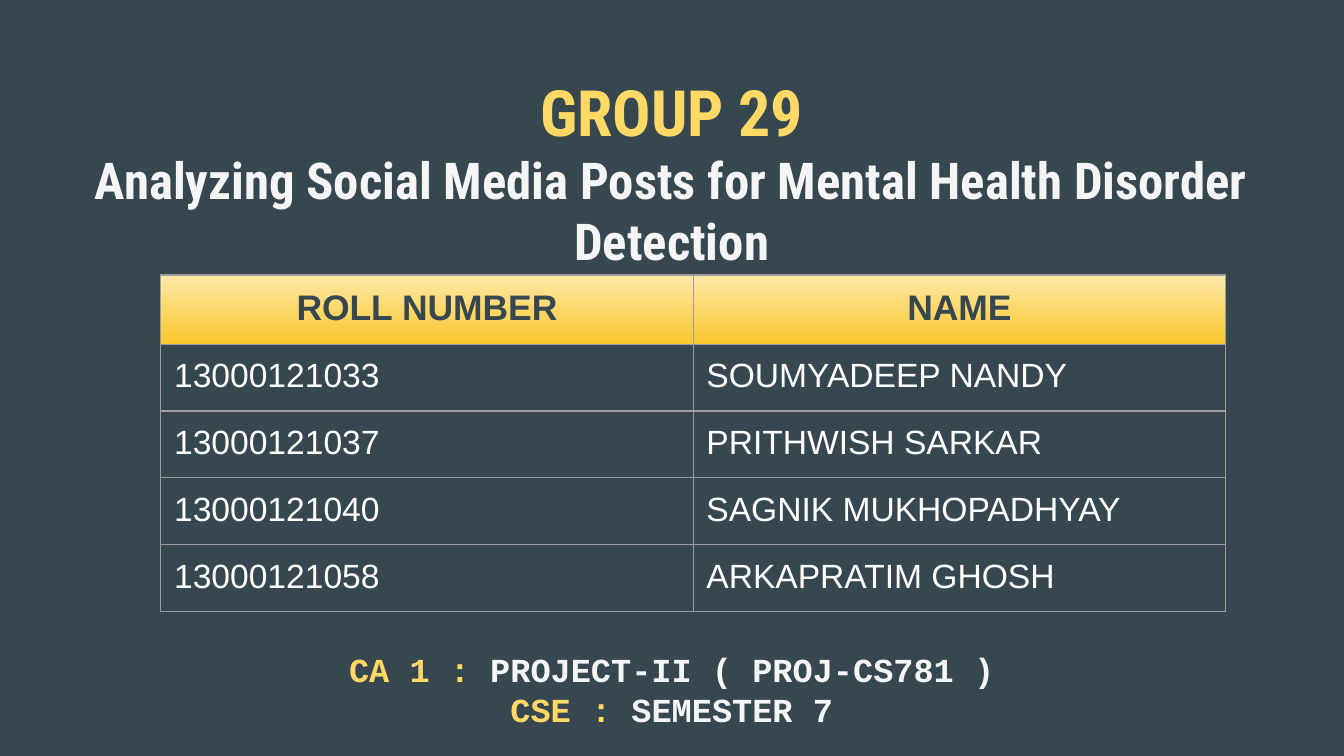
from dataclasses import dataclass

from lxml import etree
from pptx import Presentation
from pptx import util as u
from pptx.dml.color import RGBColor
from pptx.enum import text
from pptx.oxml import ns


@dataclass(frozen=True)
class Theme:
    """Colours, fonts and type sizes of the slide."""
    back: str = "37474F"
    gold: str = "FFD966"
    pale: str = "F5F5F5"
    white: str = "FFFFFF"
    rule: str = "9E9E9E"
    fade: tuple = ("FFE9A8", "F9C62C")
    head: str = "Roboto Condensed"
    body: str = "Arial"
    mono: str = "Courier New"
    title: float = 34.2
    topic: float = 27.2
    label: float = 19
    text: float = 18


def write(para, words, *, font, size, color, bold=True, align=text.PP_ALIGN.CENTER):
    """Add a formatted run to a paragraph."""
    para.alignment = align
    run = para.add_run()
    run.text = words
    run.font.name = font
    run.font.size = u.Pt(size)
    run.font.bold = bold
    run.font.color.rgb = RGBColor.from_string(color)


class Deck:
    """Holds the theme and the current slide."""

    def __init__(self, theme):
        self.theme = theme
        self.file = Presentation()
        self.file.slide_width = u.Cm(25.4)
        self.file.slide_height = u.Cm(14.29)
        self.slide = self.file.slides.add_slide(self.file.slide_layouts[6])
        fill = self.slide.background.fill
        fill.solid()
        fill.fore_color.rgb = RGBColor.from_string(theme.back)

    def box(self, place, lines, font):
        """Add centred lines, each a list of (words, size, color)."""
        frame = self.slide.shapes.add_textbox(*map(u.Cm, place)).text_frame
        frame.word_wrap = True
        frame.margin_left = frame.margin_right = u.Cm(0.25)
        frame.margin_top = frame.margin_bottom = u.Cm(0.25)
        for i, line in enumerate(lines):
            para = frame.add_paragraph() if i else frame.paragraphs[0]
            for words, size, color in line:
                write(para, words, font=font, size=size, color=color)

    def edge(self, cell):
        """Draw a thin rule on all four sides of a cell."""
        props = cell._tc.get_or_add_tcPr()
        for i, side in enumerate(("lnL", "lnR", "lnT", "lnB")):
            line = etree.Element(ns.qn(f"a:{side}"), w=str(u.Pt(0.75)))
            fill = etree.SubElement(line, ns.qn("a:solidFill"))
            etree.SubElement(fill, ns.qn("a:srgbClr"), val=self.theme.rule)
            props.insert(i, line)

    def cell(self, cell, words, head):
        """Fill in one header or body cell."""
        t = self.theme
        cell.margin_left = cell.margin_right = u.Cm(0.25)
        cell.margin_top = cell.margin_bottom = u.Cm(0.25)
        para = cell.text_frame.paragraphs[0]
        if head:
            cell.fill.gradient()
            cell.fill.gradient_angle = 270
            for stop, color in zip(cell.fill.gradient_stops, t.fade):
                stop.color.rgb = RGBColor.from_string(color)
            write(para, words, font=t.body, size=t.label, color=t.back)
        else:
            cell.fill.background()
            write(para, words, font=t.body, size=t.text, color=t.white,
                  bold=False, align=text.PP_ALIGN.LEFT)
        self.edge(cell)

    def table(self, left, top, wide, high, rows):
        """Add a table of equal columns and rows under a header."""
        count = len(rows[0])
        grid = self.slide.shapes.add_table(
            len(rows), count, u.Cm(left), u.Cm(top),
            u.Cm(wide * count), u.Cm(high * len(rows))).table
        grid.first_row = grid.horz_banding = False
        for r, row in enumerate(rows):
            for c, words in enumerate(row):
                self.cell(grid.cell(r, c), words, r == 0)


def main():
    """Build and save the slide."""
    t = Theme()
    deck = Deck(t)
    topic = "Analyzing Social Media Posts for Mental Health Disorder Detection"
    deck.box((0.86, 1.12, 23.67, 1.6), [
        [("GROUP 29", t.title, t.gold)],
        [(topic, t.topic, t.pale)],
    ], t.head)
    deck.table(3.04, 5.2, 10.06, 1.07, [
        ("ROLL NUMBER", "NAME"),
        ("13000121033", "SOUMYADEEP NANDY"),
        ("13000121037", "PRITHWISH SARKAR"),
        ("13000121040", "SAGNIK MUKHOPADHYAY"),
        ("13000121058", "ARKAPRATIM GHOSH"),
    ])
    pairs = [("CA 1 : ", "PROJECT-II ( PROJ-CS781 )"), ("CSE : ", "SEMESTER 7")]
    deck.box((0.58, 12.01, 24.23, 2.06), [
        [(key, t.text, t.gold), (value, t.text, t.pale)] for key, value in pairs
    ], t.mono)
    deck.file.save("out.pptx")


if __name__ == "__main__":
    main()
